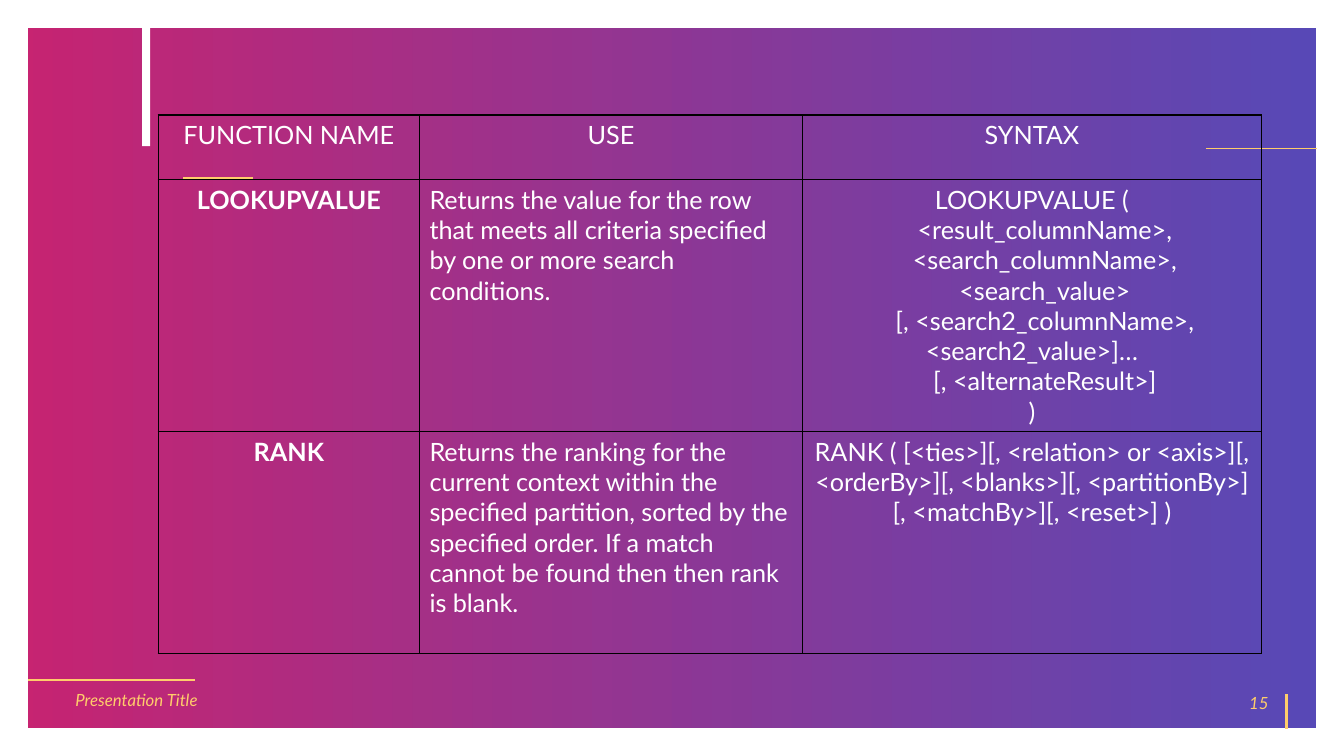
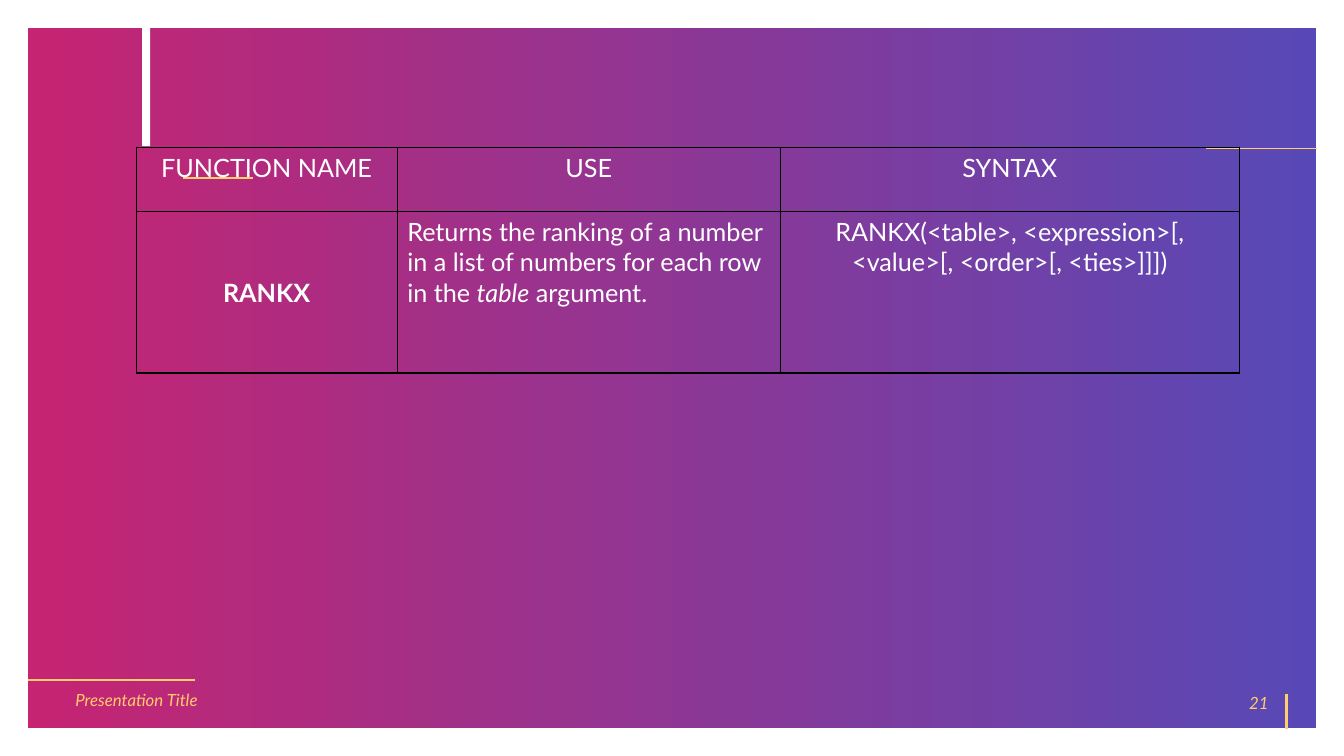
from dataclasses import dataclass

from lxml import etree
from pptx import Presentation
from pptx.dml.color import RGBColor
from pptx.enum.shapes import MSO_CONNECTOR, MSO_SHAPE
from pptx.enum.text import MSO_ANCHOR, PP_ALIGN
from pptx.oxml.ns import qn
from pptx.util import Inches, Pt

RECT, STRAIGHT = MSO_SHAPE.RECTANGLE, MSO_CONNECTOR.STRAIGHT
LEFT, CENTER, RIGHT = PP_ALIGN.LEFT, PP_ALIGN.CENTER, PP_ALIGN.RIGHT
TOP, MIDDLE = MSO_ANCHOR.TOP, MSO_ANCHOR.MIDDLE


@dataclass(frozen=True)
class Theme:
    font: str = "Lato"
    pink: str = "BE005A"
    indigo: str = "3B2CAC"
    white: str = "FFFFFF"
    gold: str = "FFCD6B"
    border: str = "000000"
    panel_opacity: int = 85
    body_size: int = 18
    footer_size: int = 12


THEME = Theme()
FOOTER = "Presentation Title"
HEADER = ("FUNCTION NAME", "USE", "SYNTAX")
COLUMN_WIDTHS = (2.59, 3.8, 4.55)
COLUMN_ALIGNS = (CENTER, LEFT, CENTER)
HEADER_HEIGHT = 0.64

# Each use is a list of (text, italic) runs; each syntax is a list of lines.
SLIDES = [
    {
        "number": "15",
        "table_at": (1.57, 1.14),
        "name_anchor": TOP,
        "functions": [
            {
                "name": "LOOKUPVALUE",
                "use": [("Returns the value for the row that meets all criteria "
                         "specified by one or more search conditions.", False)],
                "syntax": [
                    "LOOKUPVALUE (",
                    "    <result_columnName>,",
                    "    <search_columnName>,",
                    "    <search_value>",
                    "    [, <search2_columnName>, <search2_value>]…",
                    "    [, <alternateResult>]",
                    ")",
                ],
                "height": 2.5,
            },
            {
                "name": "RANK",
                "use": [("Returns the ranking for the current context within the "
                         "specified partition, sorted by the specified order. If a "
                         "match cannot be found then then rank is blank.", False)],
                "syntax": ["RANK ( [<ties>][, <relation> or <axis>][, <orderBy>]"
                           "[, <blanks>][, <partitionBy>][, <matchBy>][, <reset>] )"],
                "height": 2.2,
            },
        ],
    },
    {
        "number": "21",
        "table_at": (1.35, 1.46),
        "name_anchor": MIDDLE,
        "functions": [
            {
                "name": "RANKX",
                "use": [("Returns the ranking of a number in a list of numbers for "
                         "each row in the ", False),
                        ("table", True), (" argument.", False)],
                "syntax": ["RANKX(<table>, <expression>[, <value>[, <order>"
                           "[, <ties>]]])"],
                "height": 1.6,
            },
        ],
    },
]

# Accent lines: start x, start y, end x, end y, width in points
ACCENT_LINES = [
    (1.82, 1.77, 2.51, 1.77, 1.5),
    (11.96, 1.47, 13.06, 1.47, 0.5),
    (12.76, 7.23, 12.76, 6.89, 1.5),
    (0.28, 6.75, 1.93, 6.75, 1.5),
]


def rgb(value):
    return RGBColor.from_string(value)


def set_font(font, size, color, bold=False, italic=None):
    font.name = THEME.font
    font.size = Pt(size)
    font.color.rgb = rgb(color)
    font.bold = bold
    if italic is not None:
        font.italic = italic


def add_rect(slide, x, y, w, h):
    sp = slide.shapes.add_shape(RECT, Inches(x), Inches(y), Inches(w), Inches(h))
    sp.shadow.inherit = False
    return sp


def add_panel(slide):
    sp = add_rect(slide, 0.13, 0.13, 13.07, 7.24)
    sp.fill.gradient()
    sp.fill.gradient_angle = 0
    for stop, color in zip(sp.fill.gradient_stops, (THEME.pink, THEME.indigo)):
        stop.color.rgb = rgb(color)
    for clr in sp._element.spPr.iter(qn("a:srgbClr")):
        etree.SubElement(clr, qn("a:alpha"), val=str(THEME.panel_opacity * 1000))
    sp.line.color.rgb = rgb(THEME.white)
    sp.line.width = Pt(21.5)
    etree.SubElement(sp.line._get_or_add_ln(), qn("a:miter"), lim="800000")


def add_accent_bar(slide):
    sp = add_rect(slide, 1.41, 0.27, 0.08, 1.18)
    sp.fill.solid()
    sp.fill.fore_color.rgb = rgb(THEME.white)
    sp.line.fill.background()


def add_accent_line(slide, x1, y1, x2, y2, width):
    line = slide.shapes.add_connector(
        STRAIGHT, Inches(x1), Inches(y1), Inches(x2), Inches(y2))
    line.line.color.rgb = rgb(THEME.gold)
    line.line.width = Pt(width)
    etree.SubElement(line._element.spPr, qn("a:effectLst"))


def add_footer_text(slide, text, x, y, w, align):
    box = slide.shapes.add_textbox(Inches(x), Inches(y), Inches(w), Inches(0.4))
    tf = box.text_frame
    tf.word_wrap = True
    tf.vertical_anchor = MIDDLE
    p = tf.paragraphs[0]
    p.text = text
    p.alignment = align
    set_font(p.font, THEME.footer_size, THEME.gold, italic=True)


def add_frame(slide, number):
    """Draw the background, accents and footer every slide shares."""
    add_panel(slide)
    add_accent_bar(slide)
    for accent in ACCENT_LINES:
        add_accent_line(slide, *accent)
    add_footer_text(slide, FOOTER, 0.65, 6.74, 3.05, LEFT)
    add_footer_text(slide, number, 9.68, 6.77, 3, RIGHT)


def set_borders(cell):
    tc_pr = cell._tc.get_or_add_tcPr()
    for i, side in enumerate(("a:lnL", "a:lnR", "a:lnT", "a:lnB")):
        ln = etree.Element(qn(side), w=str(Pt(1)))
        fill = etree.SubElement(ln, qn("a:solidFill"))
        etree.SubElement(fill, qn("a:srgbClr"), val=THEME.border)
        tc_pr.insert(i, ln)


def fill_cell(cell, paragraphs, align, bold=False, anchor=TOP):
    """Write paragraphs, each a list of (text, italic) runs, into a cell."""
    cell.fill.background()
    set_borders(cell)
    cell.vertical_anchor = anchor
    tf = cell.text_frame
    for i, runs in enumerate(paragraphs):
        p = tf.add_paragraph() if i else tf.paragraphs[0]
        p.alignment = align
        set_font(p.font, THEME.body_size, THEME.white, bold)
        for text, italic in runs:
            r = p.add_run()
            r.text = text
            if italic:
                r.font.italic = True


def add_function_table(slide, content):
    functions = content["functions"]
    heights = [HEADER_HEIGHT] + [f["height"] for f in functions]
    x, y = content["table_at"]
    table = slide.shapes.add_table(
        len(heights), len(HEADER), Inches(x), Inches(y),
        Inches(sum(COLUMN_WIDTHS)), Inches(sum(heights))).table
    table.first_row = table.horz_banding = False
    for column, width in zip(table.columns, COLUMN_WIDTHS):
        column.width = Inches(width)
    for row, height in zip(table.rows, heights):
        row.height = Inches(height)

    for col, label in enumerate(HEADER):
        fill_cell(table.cell(0, col), [[(label, False)]], CENTER)
    for row, function in enumerate(functions, start=1):
        columns = (
            [[(function["name"], False)]],
            [function["use"]],
            [[(line, False)] for line in function["syntax"]],
        )
        for col, (paragraphs, align) in enumerate(zip(columns, COLUMN_ALIGNS)):
            is_name = col == 0
            fill_cell(table.cell(row, col), paragraphs, align, bold=is_name,
                      anchor=content["name_anchor"] if is_name else TOP)


def main():
    prs = Presentation()
    prs.slide_width, prs.slide_height = Inches(13.33), Inches(7.5)
    blank = prs.slide_layouts[6]
    for content in SLIDES:
        slide = prs.slides.add_slide(blank)
        add_frame(slide, content["number"])
        add_function_table(slide, content)
    prs.save("out.pptx")


if __name__ == "__main__":
    main()
